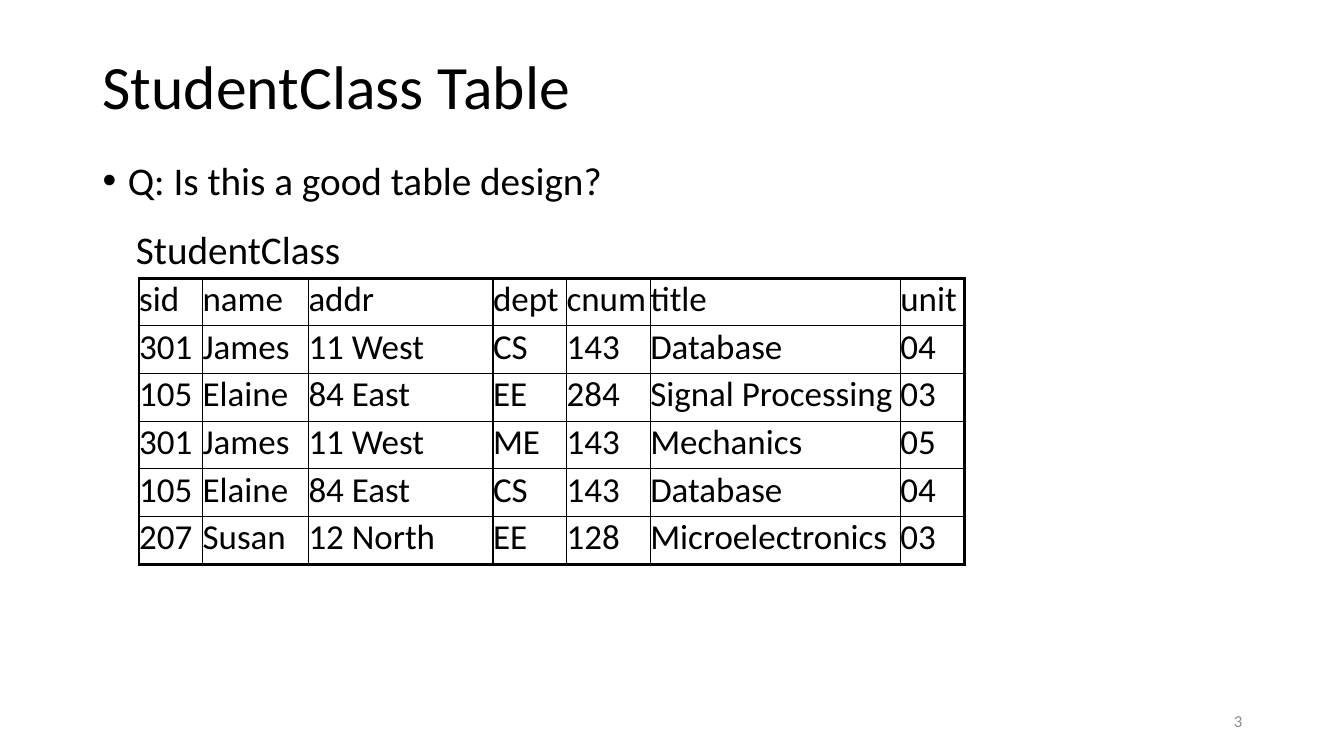
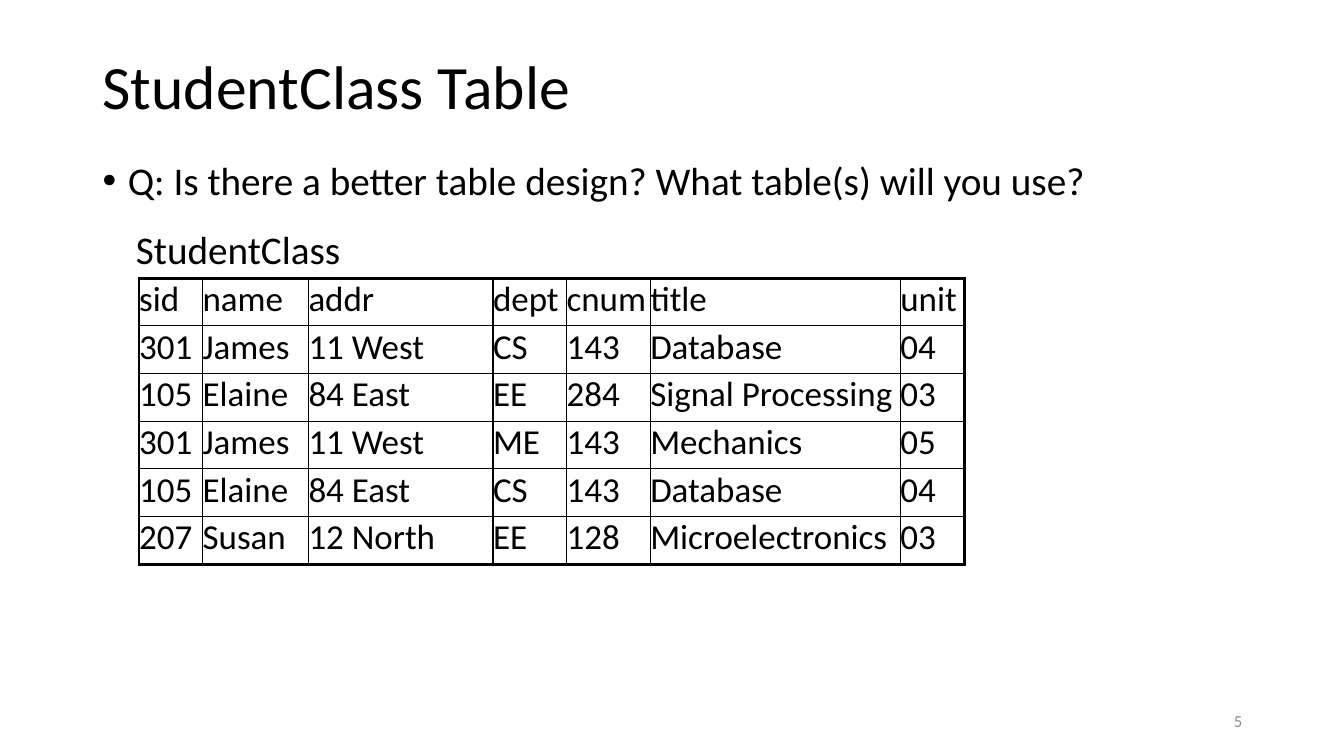
from dataclasses import dataclass

from lxml import etree
from pptx import Presentation, util as u
from pptx.dml.color import RGBColor
from pptx.enum import text
from pptx.oxml import ns


@dataclass(frozen=True)
class Theme:
    font: str = "Calibri"
    ink: str = "000000"
    muted: str = "8C8C8C"
    title_size: float = 44
    body_size: float = 28
    cell_size: float = 25
    number_size: float = 12
    outer_line: float = 2.25
    inner_line: float = 1


THEME = Theme()
COLUMN_WIDTHS = (0.63, 1.05, 1.83, 0.73, 0.83, 2.48, 0.64)
ROW_HEIGHT = 0.473
STUDENT_CLASS = (
    ("sid", "name", "addr", "dept", "cnum", "title", "unit"),
    ("301", "James", "11 West", "CS", "143", "Database", "04"),
    ("105", "Elaine", "84 East", "EE", "284", "Signal Processing", "03"),
    ("301", "James", "11 West", "ME", "143", "Mechanics", "05"),
    ("105", "Elaine", "84 East", "CS", "143", "Database", "04"),
    ("207", "Susan", "12 North", "EE", "128", "Microelectronics", "03"),
)
QUESTIONS = (
    (3, "Q: Is this a good table design?"),
    (5, "Q: Is there a better table design? What table(s) will you use?"),
)


def set_all(target, values):
    for name, value in values.items():
        setattr(target, name, value)


def write(para, words, size, color=THEME.ink, **para_format):
    set_all(para, para_format)
    span = para.add_run()
    span.text = words
    set_all(span.font, {"name": THEME.font, "size": u.Pt(size)})
    span.font.color.rgb = RGBColor.from_string(color)


def add_text(page, place, words, size, color=THEME.ink, frame_format=None, **para_format):
    box = page.shapes.add_textbox(*map(u.Inches, place))
    set_all(box.text_frame, {"word_wrap": True, **(frame_format or {})})
    para = box.text_frame.paragraphs[0]
    write(para, words, size, color, **para_format)
    return para


def add_bullet(para, indent):
    props = para._p.get_or_add_pPr()
    props.set("marL", str(u.Inches(indent)))
    props.set("indent", str(-u.Inches(indent)))
    etree.SubElement(props, ns.qn("a:buFont"), typeface="Arial")
    etree.SubElement(props, ns.qn("a:buChar"), char="•")


def add_borders(cell, widths):
    """Draw the cell's sides; widths maps L, R, T and B to points, in that order."""
    props = cell._tc.get_or_add_tcPr()
    for side, width in widths.items():
        line = etree.SubElement(props, ns.qn(f"a:ln{side}"), w=str(u.Pt(width)))
        fill = etree.SubElement(line, ns.qn("a:solidFill"))
        etree.SubElement(fill, ns.qn("a:srgbClr"), val=THEME.ink)


def add_grid(page, left, top, rows):
    """Place a table with thin inner lines and a thick frame."""
    last_row, last_column = len(rows) - 1, len(COLUMN_WIDTHS) - 1
    table = page.shapes.add_table(
        len(rows), len(COLUMN_WIDTHS), u.Inches(left), u.Inches(top),
        u.Inches(sum(COLUMN_WIDTHS)), u.Inches(ROW_HEIGHT * len(rows))).table
    set_all(table, {"first_row": False, "horz_banding": False})
    for column, width in zip(table.columns, COLUMN_WIDTHS):
        column.width = u.Inches(width)
    for r, values in enumerate(rows):
        table.rows[r].height = u.Inches(ROW_HEIGHT)
        for c, value in enumerate(values):
            cell = table.cell(r, c)
            set_all(cell, {f"margin_{side}": 0 for side in ("left", "right", "top", "bottom")})
            write(cell.text_frame.paragraphs[0], value, THEME.cell_size)
            on_frame = {"L": c == 0, "R": c == last_column, "T": r == 0, "B": r == last_row}
            add_borders(cell, {side: THEME.outer_line if outer else THEME.inner_line
                               for side, outer in on_frame.items()})
            cell.fill.background()


def add_question_slide(deck, number, question):
    page = deck.slides.add_slide(deck.slide_layouts[6])
    middle = {"vertical_anchor": text.MSO_ANCHOR.MIDDLE}
    add_text(page, (0.92, 0.4, 11.5, 0.97), "StudentClass Table", THEME.title_size,
             frame_format=middle, line_spacing=0.9)
    para = add_text(page, (0.92, 1.55, 11.5, 5.21), question, THEME.body_size,
                    line_spacing=0.9, space_before=u.Pt(10))
    add_bullet(para, 0.25)
    add_grid(page, 1.38, 2.76, STUDENT_CLASS)
    add_text(page, (1.25, 2.19, 2.25, 0.57), "StudentClass", THEME.body_size,
             frame_format={"word_wrap": False, "auto_size": text.MSO_AUTO_SIZE.SHAPE_TO_FIT_TEXT})
    add_text(page, (9.42, 6.95, 3, 0.4), str(number), THEME.number_size, THEME.muted,
             frame_format=middle, alignment=text.PP_ALIGN.RIGHT)


def main():
    deck = Presentation()
    set_all(deck, {"slide_width": u.Inches(13.33), "slide_height": u.Inches(7.5)})
    for number, question in QUESTIONS:
        add_question_slide(deck, number, question)
    deck.save("out.pptx")


if __name__ == "__main__":
    main()
